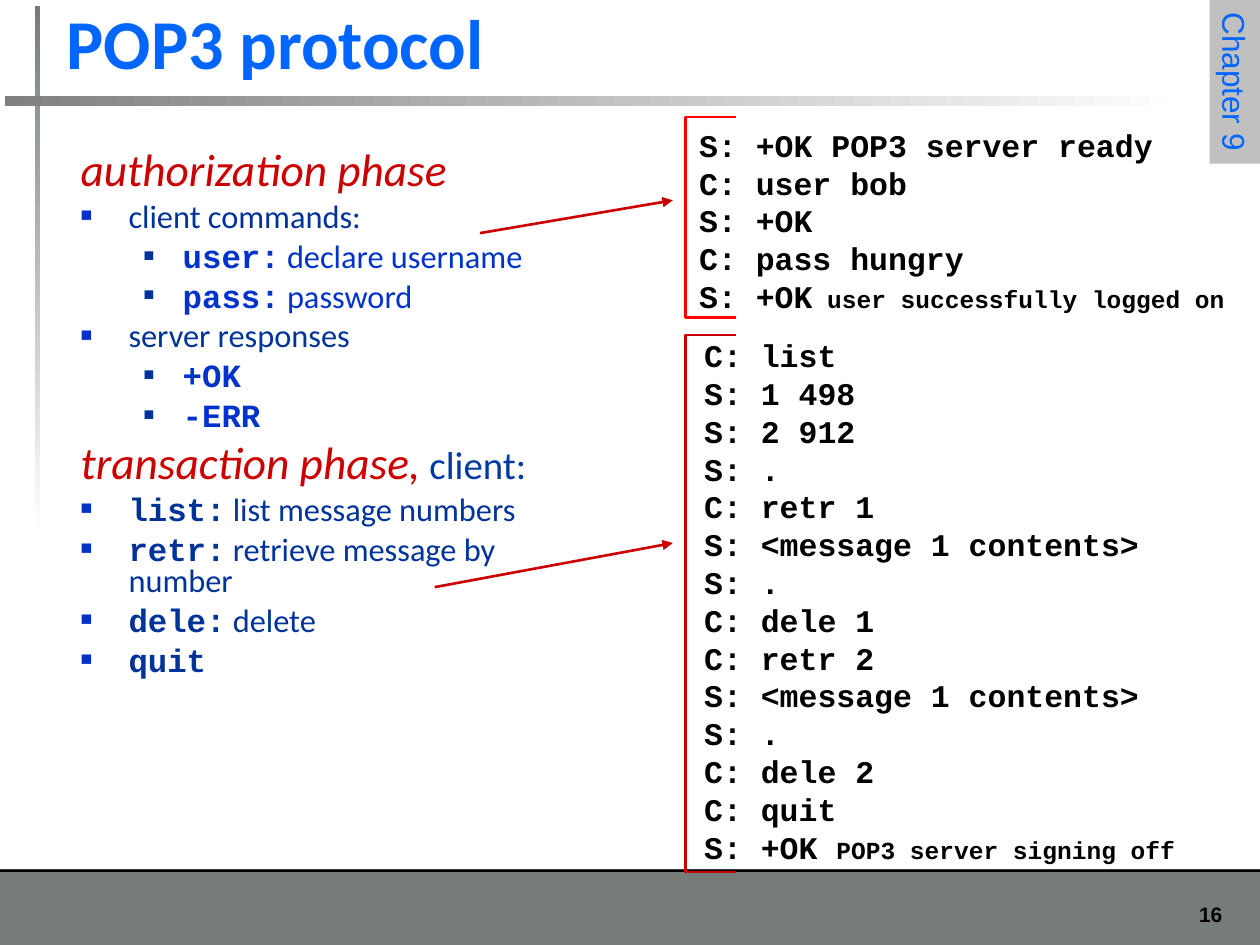
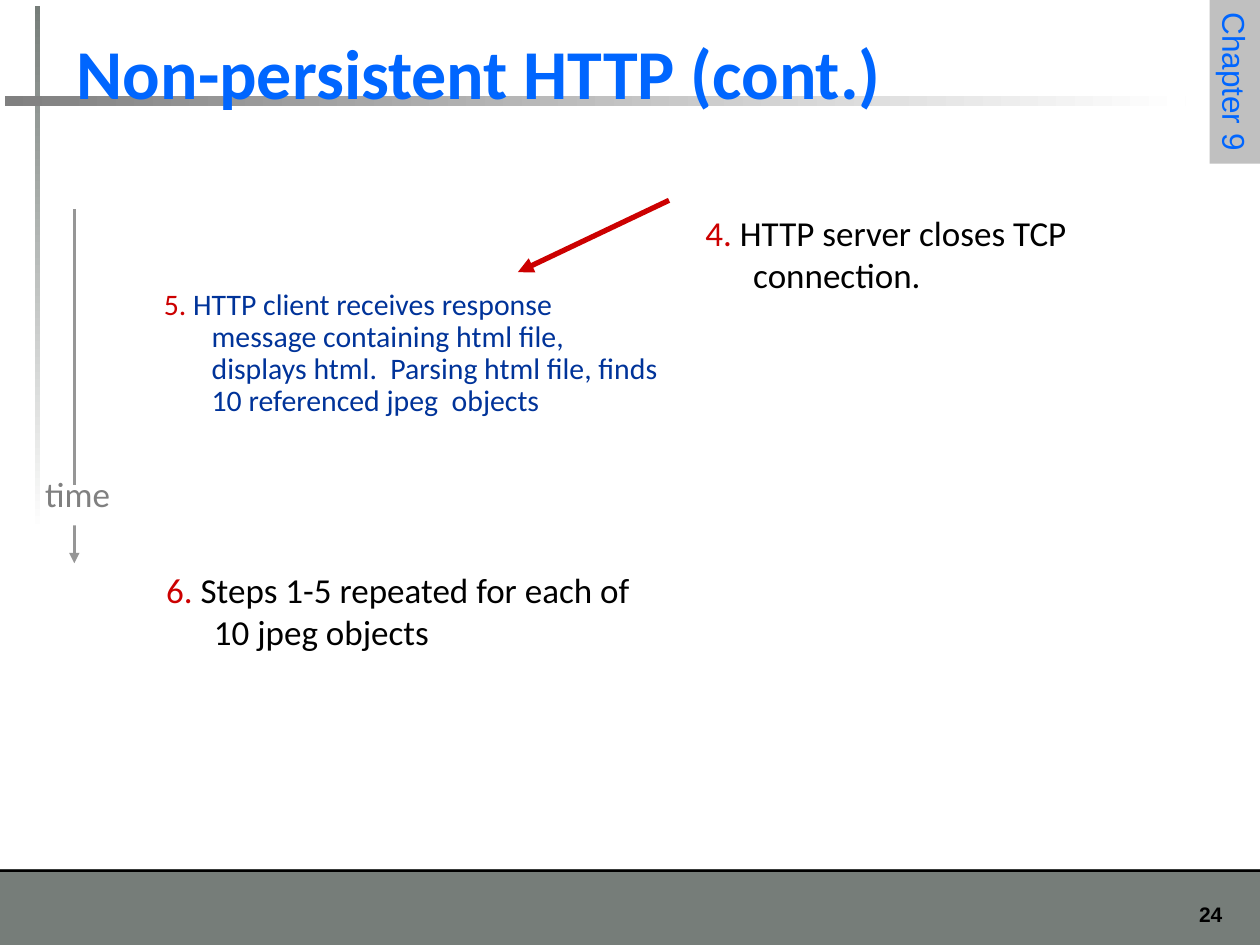
from lxml import etree
from pptx import Presentation
from pptx.dml.color import RGBColor
from pptx.enum.shapes import MSO_CONNECTOR, MSO_SHAPE
from pptx.enum.text import MSO_ANCHOR, MSO_AUTO_SIZE, PP_ALIGN
from pptx.oxml.ns import qn
from pptx.util import Inches, Pt

RECTANGLE = MSO_SHAPE.RECTANGLE
STRAIGHT = MSO_CONNECTOR.STRAIGHT
TOP, BOTTOM = MSO_ANCHOR.TOP, MSO_ANCHOR.BOTTOM
NO_FIT = MSO_AUTO_SIZE.NONE
LEFT, CENTER, RIGHT = PP_ALIGN.LEFT, PP_ALIGN.CENTER, PP_ALIGN.RIGHT

BLACK = RGBColor(0x00, 0x00, 0x00)
WHITE = RGBColor(0xFF, 0xFF, 0xFF)
SLATE = RGBColor(0x76, 0x7D, 0x79)
GRAY = RGBColor(0x80, 0x80, 0x80)
TIME_GRAY = RGBColor(0x96, 0x96, 0x96)
SILVER = RGBColor(0xC0, 0xC0, 0xC0)
TITLE_BLUE = RGBColor(0x00, 0x66, 0xFF)
BLUE = RGBColor(0x00, 0x33, 0xCC)
NAVY = RGBColor(0x00, 0x33, 0x99)
CLIENT_BLUE = RGBColor(0x00, 0x39, 0xA6)
RED = RGBColor(0xFF, 0x00, 0x00)
DARK_RED = RGBColor(0xCC, 0x00, 0x00)

SANS, BODY_FONT, CODE_FONT = "Arial", "Calibri", "Courier New"
HANGING = (0.38, -0.38)
SUB_HANGING = (0.81, -0.31)

LOGIN = ["S: +OK POP3 server ready", "C: user bob", "S: +OK", "C: pass hungry",
         ("S: +OK", " user successfully logged on")]
SESSION = ["C: list", "S: 1 498", "S: 2 912", "S: .", "C: retr 1",
           "S: <message 1 contents>", "S: .", "C: dele 1", "C: retr 2",
           "S: <message 1 contents>", "S: .", "C: dele 2", "C: quit",
           ("S: +OK ", "POP3 server signing off")]


def inches(*values):
    return [Inches(value) for value in values]


def add_span(para, words, font=BODY_FONT, size=20, color=BLACK, bold=False, italic=False):
    span = para.add_run()
    span.text = words
    span.font.name = font
    span.font.size = Pt(size)
    span.font.color.rgb = color
    span.font.bold = bold
    span.font.italic = italic


def format_paragraph(para, indent=(0, 0), bullet=None, bullet_size=60, align=LEFT,
                     line_spacing=None, before=0):
    """Set indents, bullet (given by its colour) and spacing."""
    properties = para._p.get_or_add_pPr()
    properties.set("marL", str(Inches(indent[0])))
    properties.set("indent", str(Inches(indent[1])))
    if bullet is None:
        etree.SubElement(properties, qn("a:buNone"))
    else:
        color = etree.SubElement(properties, qn("a:buClr"))
        etree.SubElement(color, qn("a:srgbClr"), val=str(bullet))
        etree.SubElement(properties, qn("a:buSzPct"), val=str(bullet_size * 1000))
        etree.SubElement(properties, qn("a:buChar"), char="■")
    para.alignment = align
    para.space_before = Pt(before)
    if line_spacing:
        para.line_spacing = line_spacing


def next_paragraph(frame):
    first = frame.paragraphs[0]
    return first if not first.runs else frame.add_paragraph()


def add_text(page, box, spans, wrap=True, **layout):
    """Add a one-paragraph text box from (words, format) spans."""
    frame = page.shapes.add_textbox(*inches(*box)).text_frame
    frame.word_wrap = wrap
    para = frame.paragraphs[0]
    format_paragraph(para, **layout)
    for words, style in spans:
        add_span(para, words, **style)


def add_rectangle(page, box, color, fade_angle=None):
    """Add a plain rectangle; with fade_angle it fades to white."""
    shape = page.shapes.add_shape(RECTANGLE, *inches(*box))
    shape.shadow.inherit = False
    shape.line.fill.background()
    if fade_angle is None:
        shape.fill.solid()
        shape.fill.fore_color.rgb = color
    else:
        shape.fill.gradient()
        shape.fill.gradient_angle = fade_angle
        for stop, stop_color in zip(shape.fill.gradient_stops, (color, WHITE)):
            stop.color.rgb = stop_color
    return shape


def add_arrow(page, start, end, color=DARK_RED, width=1.5):
    arrow = page.shapes.add_connector(STRAIGHT, *inches(*start, *end))
    arrow.line.color.rgb = color
    arrow.line.width = Pt(width)
    etree.SubElement(arrow.line._get_or_add_ln(), qn("a:tailEnd"), type="triangle")
    etree.SubElement(arrow._element.spPr, qn("a:effectLst"))


def add_bracket(page, box, color):
    """Draw a left bracket, open on its right side."""
    left, top, width, height = inches(*box)
    builder = page.shapes.build_freeform(left + width, top)
    builder.add_line_segments([(left, top), (left, top + height),
                               (left + width, top + height)], close=False)
    bracket = builder.convert_to_shape()
    bracket.shadow.inherit = False
    bracket.fill.background()
    bracket.line.color.rgb = color
    bracket.line.width = Pt(1.5)


def add_chapter_tab(page):
    tab = add_rectangle(page, (9.15, 0.45, 1.3, 0.4), SILVER)
    tab.rotation = 90
    frame = tab.text_frame
    frame.word_wrap = False
    frame.vertical_anchor = TOP
    format_paragraph(frame.paragraphs[0])
    add_span(frame.paragraphs[0], "Chapter 9", font=SANS, size=18, color=TITLE_BLUE)


def place(placeholder, box, anchor):
    """Move a placeholder to a box, in front of the page frame."""
    placeholder.left, placeholder.top, placeholder.width, placeholder.height = inches(*box)
    placeholder.element.getparent().append(placeholder.element)
    frame = placeholder.text_frame
    frame.auto_size = NO_FIT
    frame.word_wrap = True
    frame.vertical_anchor = anchor
    return frame


def add_page(deck, title, number, title_box, body_box):
    """Add a page with its frame and title; return it and its body frame."""
    page = deck.slides.add_slide(deck.slide_layouts[1])
    add_rectangle(page, (0, 6.9, 10, 0.6), SLATE)
    add_rectangle(page, (0, 6.9, 10, 0.02), BLACK)
    add_text(page, (9.17, 7.11, 0.63, 0.3),
             [(number, dict(font=SANS, size=12, bold=True))], align=RIGHT)
    add_rectangle(page, (0.28, 0.05, 0.04, 4.17), SLATE, fade_angle=270)
    add_rectangle(page, (0.04, 0.76, 9.37, 0.08), GRAY, fade_angle=0)
    add_chapter_tab(page)
    heading = place(page.shapes.title, title_box, BOTTOM).paragraphs[0]
    format_paragraph(heading)
    add_span(heading, title, size=40, color=TITLE_BLUE, bold=True)
    return page, place(page.placeholders[1], body_box, TOP)


def add_phase(frame, heading, items, client=None):
    """Write a phase heading and its (level, command, description) items."""
    para = next_paragraph(frame)
    format_paragraph(para, HANGING, line_spacing=0.8, before=6 if client else 0)
    add_span(para, heading, size=25.9, color=DARK_RED, italic=True)
    if client:
        add_span(para, client, size=22.2, color=CLIENT_BLUE)
    for level, command, description in items:
        para = next_paragraph(frame)
        para.level = level
        color = BLUE if level else NAVY
        if level:
            format_paragraph(para, SUB_HANGING, NAVY, 55, line_spacing=0.8, before=5)
        else:
            format_paragraph(para, HANGING, BLUE, line_spacing=0.8, before=5)
        if command:
            add_span(para, command, font=CODE_FONT, size=18.5, color=color, bold=True)
        if description:
            add_span(para, description, size=18.5, color=color)


def add_dialogue(page, box, lines):
    """Write protocol lines; the second part of a pair is smaller."""
    frame = page.shapes.add_textbox(*inches(*box)).text_frame
    frame.word_wrap = False
    for line in lines:
        para = next_paragraph(frame)
        format_paragraph(para)
        parts = (line,) if isinstance(line, str) else line
        for words, size in zip(parts, (18, 14)):
            add_span(para, words, font=CODE_FONT, size=size, bold=True)


def add_step(page, box, number, words):
    add_text(page, box, [(number, dict(color=DARK_RED)), (words, {})], indent=HANGING)


def build_pop3_page(deck):
    page, body = add_page(deck, "POP3 protocol", "16",
                          (0.43, -0.06, 8.5, 0.77), (0.54, 1.15, 4.34, 5.08))
    add_phase(body, "authorization phase", [
        (0, "", "client commands:"),
        (1, "user:", " declare username"),
        (1, "pass:", " password"),
        (0, "", "server responses"),
        (1, "+OK", ""),
        (1, "-ERR", "")])
    add_phase(body, "transaction phase,", [
        (0, "list:", " list message numbers"),
        (0, "retr:", " retrieve message by number"),
        (0, "dele:", " delete"),
        (0, "quit", "")], client=" client:")
    add_dialogue(page, (5.49, 2.62, 4.5, 4.3), SESSION)
    add_dialogue(page, (5.45, 0.95, 4.5, 1.6), LOGIN)
    add_bracket(page, (5.44, 0.93, 0.4, 1.59), RED)
    add_arrow(page, (3.81, 1.85), (5.34, 1.59))
    add_bracket(page, (5.44, 2.66, 0.4, 4.26), DARK_RED)
    add_arrow(page, (3.45, 4.66), (5.34, 4.31))


def add_time_axis(page, left, top, length):
    add_arrow(page, (left, top), (left, top + length), TIME_GRAY)
    add_rectangle(page, (left - 0.26, top + 2.19, 0.37, 0.32), WHITE)
    add_text(page, (left - 0.37, top + 2.04, 0.79, 0.44),
             [("time", dict(color=GRAY))], wrap=False, align=CENTER)


def build_http_page(deck):
    page, body = add_page(deck, "Non-persistent HTTP (cont.)", "24",
                          (0.51, 0, 8.5, 0.95), (1.2, 2.25, 4.14, 1.68))
    para = body.paragraphs[0]
    format_paragraph(para, HANGING, line_spacing=0.9)
    add_span(para, "5.", size=17, color=DARK_RED)
    add_span(para, " HTTP client receives response message containing html file, "
                   "displays html.  Parsing html file, finds 10 referenced jpeg  objects",
             size=17, color=NAVY)
    add_step(page, (1.22, 4.46, 4.17, 0.73), "6.",
             " Steps 1-5 repeated for each of 10 jpeg objects")
    add_step(page, (5.5, 1.63, 4.17, 0.8), "4.", " HTTP server closes TCP connection.")
    add_time_axis(page, 0.59, 1.66, 2.81)
    add_arrow(page, (5.31, 1.59), (4.11, 2.16), width=3)


def main():
    deck = Presentation()
    deck.slide_width, deck.slide_height = inches(10, 7.5)
    build_pop3_page(deck)
    build_http_page(deck)
    deck.save("out.pptx")


if __name__ == "__main__":
    main()
